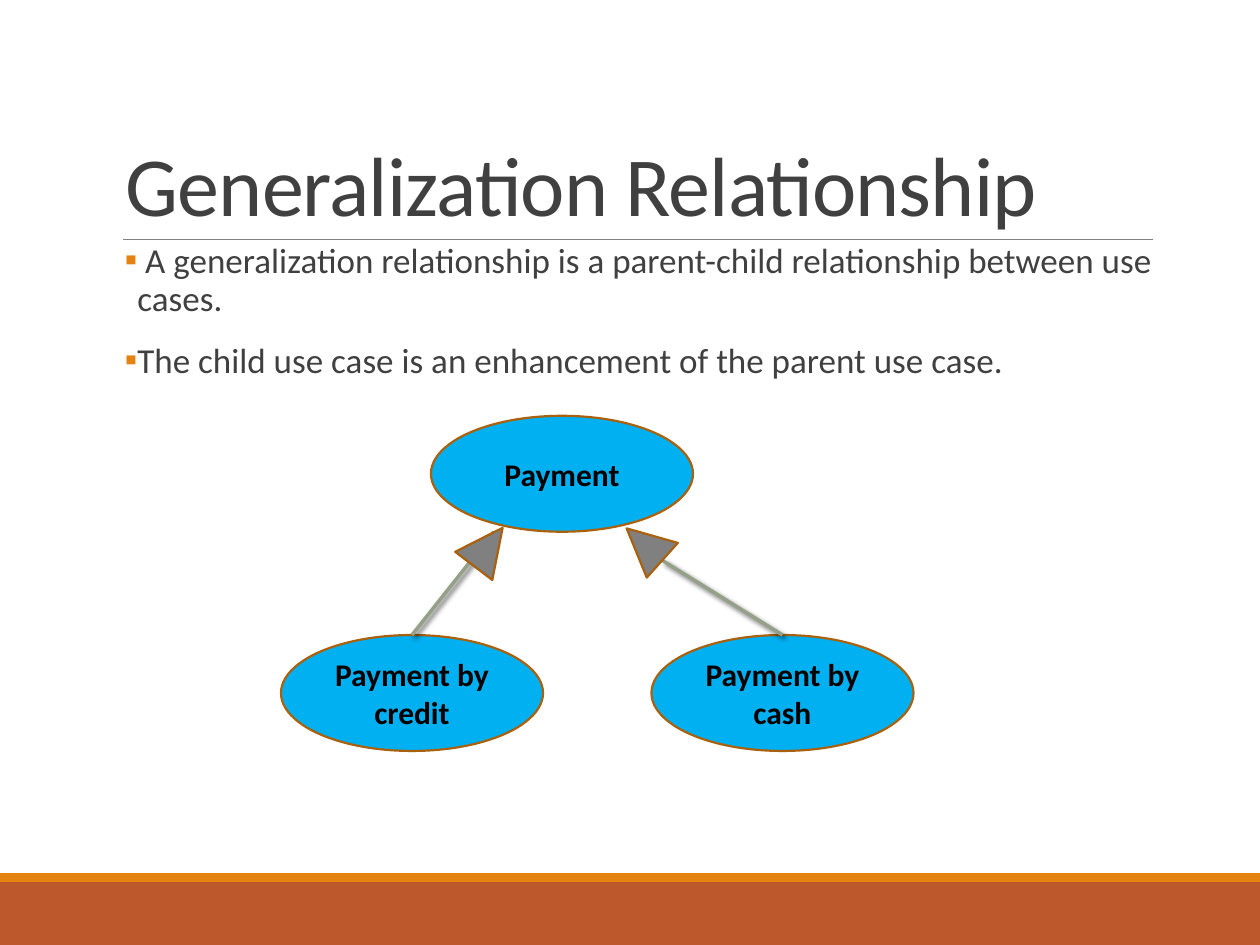
import pptx
import pptx.dml.color
import pptx.enum.shapes
import pptx.enum.text
import pptx.oxml
import pptx.oxml.ns
import pptx.util
from lxml import etree

Inches, Pt = pptx.util.Inches, pptx.util.Pt
RGBColor = pptx.dml.color.RGBColor
SHAPE = pptx.enum.shapes.MSO_SHAPE
LINE = pptx.enum.shapes.MSO_CONNECTOR.STRAIGHT
ALIGN = pptx.enum.text.PP_ALIGN
ANCHOR = pptx.enum.text.MSO_ANCHOR
DRAWING_NS = pptx.oxml.ns.nsdecls("a")

RUST = RGBColor(0xBD, 0x58, 0x2C)
ORANGE = RGBColor(0xE4, 0x83, 0x12)
BROWN = RGBColor(0xA9, 0x61, 0x0D)
BLUE = RGBColor(0x00, 0xB0, 0xF0)
SAGE = RGBColor(0x94, 0xA0, 0x88)
GRAY = RGBColor(0x80, 0x80, 0x80)
CHARCOAL = RGBColor(0x40, 0x40, 0x40)
BLACK = RGBColor(0, 0, 0)

SHADOW = (f'<a:effectLst {DRAWING_NS}><a:outerShdw blurRad="{Pt(3)}" dist="{Pt(2)}" '
          'dir="2700000" algn="tl" rotWithShape="0"><a:srgbClr val="000000">'
          '<a:alpha val="60000"/></a:srgbClr></a:outerShdw></a:effectLst>')
NO_EFFECT = f"<a:effectLst {DRAWING_NS}/>"

prs = pptx.Presentation()
prs.slide_width, prs.slide_height = Inches(10), Inches(7.5)
slide = prs.slides.add_slide(prs.slide_layouts[6])
shapes = slide.shapes


def write(frame, *lines, size, color, bold=False, align=ALIGN.LEFT, anchor=ANCHOR.TOP,
          leading=1.0, before=0, after=0, tracking=0, bullet=None):
    """Fill a text frame with one paragraph per line."""
    frame.word_wrap = True
    frame.vertical_anchor = anchor
    for index, line in enumerate(lines):
        paragraph = frame.add_paragraph() if index else frame.paragraphs[0]
        paragraph.alignment = align
        paragraph.line_spacing = leading
        paragraph.space_before, paragraph.space_after = Pt(before), Pt(after)
        run = paragraph.add_run()
        run.text = line
        run.font.name, run.font.size, run.font.bold = "Calibri", Pt(size), bold
        run.font.color.rgb = color
        if tracking:
            run.font._element.set("spc", str(int(tracking * 100)))
        if bullet:
            properties = paragraph._p.get_or_add_pPr()
            properties.set("marL", str(Inches(0.1)))
            properties.set("indent", str(Inches(-0.1)))
            for xml in (f'<a:buClr {DRAWING_NS}><a:srgbClr val="{ORANGE}"/></a:buClr>',
                        f'<a:buFont {DRAWING_NS} typeface="Calibri"/>',
                        f'<a:buChar {DRAWING_NS} char="{bullet}"/>'):
                properties.append(pptx.oxml.parse_xml(xml))


def paint(shape, fill, outline=None):
    shape.shadow.inherit = False
    shape.fill.solid()
    shape.fill.fore_color.rgb = fill
    if outline is None:
        shape.line.fill.background()
    else:
        shape.line.color.rgb = outline
        shape.line.width = Pt(1.25)


# Footer bands and the rule under the title
for top, height, color in ((7, 0.5, RUST), (6.93, 0.07, ORANGE)):
    band = shapes.add_shape(SHAPE.RECTANGLE, 0, Inches(top), prs.slide_width, Inches(height))
    paint(band, color)

title_rule = shapes.add_connector(LINE, Inches(0.98), Inches(1.9), Inches(9.15), Inches(1.9))
title_rule.line.color.rgb = GRAY
title_rule.line.width = Pt(0.5)
title_rule._element.spPr.append(etree.fromstring(NO_EFFECT))

title = shapes.add_textbox(Inches(0.9), Inches(0.31), Inches(8.25), Inches(1.59))
write(title.text_frame, "Generalization Relationship", size=48, color=CHARCOAL,
      anchor=ANCHOR.BOTTOM, leading=0.85, tracking=-0.5)

definition = shapes.add_textbox(Inches(0.99), Inches(1.88), Inches(8.25), Inches(4.4))
definition.text_frame.margin_left = definition.text_frame.margin_right = 0
write(definition.text_frame,
      " A generalization relationship is a parent-child relationship between use cases.",
      "The child use case is an enhancement of the parent use case.",
      size=20, color=CHARCOAL, leading=0.9, before=12, after=2, bullet="▪")

# Use cases: the parent above its two children
use_cases = {}
for label, left, top in (("Payment", 3.42, 3.3),
                         ("Payment by credit", 2.23, 5.04),
                         ("Payment by cash", 5.17, 5.04)):
    use_case = shapes.add_shape(SHAPE.OVAL, Inches(left), Inches(top), Inches(2.08), Inches(0.92))
    paint(use_case, BLUE, BROWN)
    write(use_case.text_frame, label, size=18, color=BLACK, bold=True,
          align=ALIGN.CENTER, anchor=ANCHOR.MIDDLE)
    use_cases[label] = use_case

# Generalization links, then the triangular heads on top of them
for child, end_x, end_y in (("Payment by credit", 3.92, 4.22), ("Payment by cash", 5.26, 4.45)):
    link = shapes.add_connector(LINE, 0, 0, Inches(end_x), Inches(end_y))
    link.begin_connect(use_cases[child], 0)
    link.line.color.rgb = SAGE
    link.line.width = Pt(2)
    link._element.spPr.append(pptx.oxml.parse_xml(SHADOW))

for left, top, angle in ((3.69, 4.15, 37.2), (4.93, 4.13, 311.8)):
    head = shapes.add_shape(SHAPE.ISOSCELES_TRIANGLE, Inches(left), Inches(top),
                            Inches(0.37), Inches(0.38))
    head.rotation = angle
    paint(head, GRAY, BROWN)

prs.save("out.pptx")
